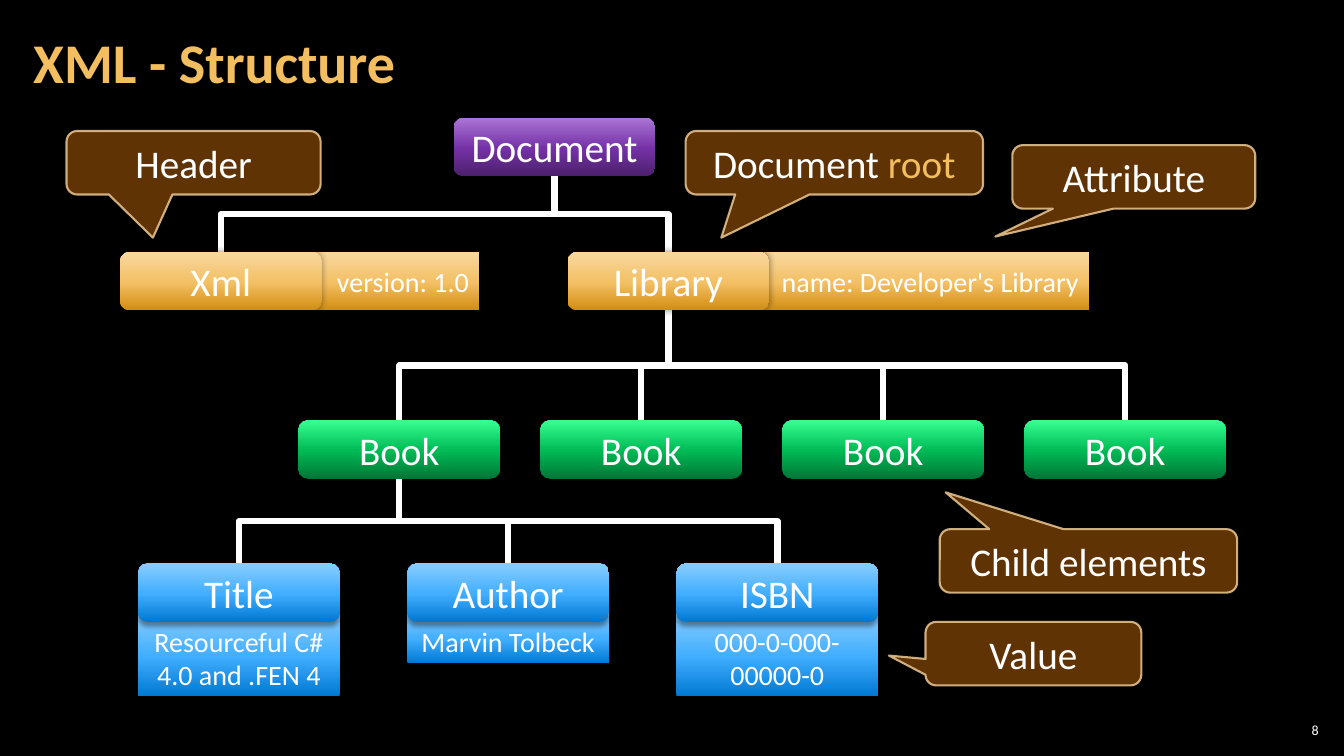
from lxml import etree
from pptx import Presentation
from pptx.dml.color import RGBColor
from pptx.enum.shapes import MSO_CONNECTOR, MSO_SHAPE
from pptx.enum.text import MSO_ANCHOR, PP_ALIGN
from pptx.oxml import parse_xml
from pptx.oxml.ns import qn
from pptx.util import Emu, Pt

RECT = MSO_SHAPE.RECTANGLE
ROUND = MSO_SHAPE.ROUNDED_RECTANGLE
CALL = MSO_SHAPE.ROUNDED_RECTANGULAR_CALLOUT
ELBOW = MSO_CONNECTOR.ELBOW
LEFT, MID, RIGHT = PP_ALIGN.LEFT, PP_ALIGN.CENTER, PP_ALIGN.RIGHT
MIDDLE, BOTTOM = MSO_ANCHOR.MIDDLE, MSO_ANCHOR.BOTTOM

NS = "http://schemas.openxmlformats.org/drawingml/2006/main"
SCALE = 9144
WIDE, HIGH = 200, 58
WHITE, SAND = "FFFFFF", "F3BE60"
PURPLE = ("4B206B", "7532A7", "AB74D5")
GOLD = ("D38D10", "F3C065", "F8D8A0")
GREEN = ("007636", "00BA55", "37FF92")
BLUE = ("0078D2", "41AEFF", "89CDFF")
GLOW = (5, 0, 0)
DROP = (4, 3, 90)


def px(num):
    return Emu(round(num * SCALE))


def tint(code):
    return RGBColor.from_string(code)


def put(item, form):
    for key, val in form.items():
        setattr(item, key, val)


def write(shape, runs, size, align=MID, anchor=MIDDLE, pad=(10, 5), bold=False, gap=None):
    frame = shape.text_frame
    side, top = map(px, pad)
    put(frame, {"word_wrap": True, "vertical_anchor": anchor,
                "margin_left": side, "margin_right": side,
                "margin_top": top, "margin_bottom": top})
    para = frame.paragraphs[0]
    put(para, {"alignment": align, "line_spacing": gap})
    for text, color in runs:
        run = para.add_run()
        run.text = text
        put(run.font, {"name": "Calibri", "size": Pt(size), "bold": bold})
        run.font.color.rgb = tint(color)


def label(slide, box, text, size, color, **form):
    shape = slide.shapes.add_textbox(*map(px, box))
    write(shape, [(text, color)], size, **form)


def fade(shape, tones):
    stops = "".join(
        f'<a:gs pos="{pos}000"><a:srgbClr val="{tone}"/></a:gs>'
        for pos, tone in zip((0, 48, 100), tones))
    grad = parse_xml(f'<a:gradFill xmlns:a="{NS}" rotWithShape="1"><a:gsLst>{stops}</a:gsLst>'
                     '<a:lin ang="16200000" scaled="0"/></a:gradFill>')
    shape._element.spPr.find(qn("a:prstGeom")).addnext(grad)


def shade(shape, blur, dist, angle):
    effect = shape._element.spPr.find(qn("a:effectLst"))
    effect.append(parse_xml(
        f'<a:outerShdw xmlns:a="{NS}" blurRad="{Pt(blur)}" dist="{Pt(dist)}" '
        f'dir="{angle * 60000}" algn="ctr" rotWithShape="0">'
        '<a:srgbClr val="000000"><a:alpha val="40000"/></a:srgbClr></a:outerShdw>'))


def block(slide, kind, box, tones, text, size, shadow=None, **form):
    shape = slide.shapes.add_shape(kind, *map(px, box))
    shape.line.fill.background()
    fade(shape, tones)
    shape.shadow.inherit = False
    if shadow:
        shade(shape, *shadow)
    write(shape, [(text, WHITE)], size, **form)


def node(slide, x, y, tones, text, shadow=None):
    block(slide, ROUND, (x, y, WIDE, HIGH), tones, text, 28, shadow)


def tagged(slide, x, y, name, note, start, width):
    block(slide, RECT, (x + start, y, width, HIGH), GOLD, note, 20, align=RIGHT)
    node(slide, x, y, GOLD, name, GLOW)


def field(slide, x, y, name, value, deep):
    block(slide, RECT, (x, y + 49, WIDE, deep), BLUE, value, 20, anchor=BOTTOM)
    node(slide, x, y, BLUE, name, DROP)


def link(slide, x, y, ends, floor):
    for end in ends:
        midx, midy = (x + end) / 2, (y + floor) / 2
        half, rise = (floor - y) / 2, abs(end - x) / 2
        right = end > x
        if right:
            half = -half
        line = slide.shapes.add_connector(
            ELBOW, px(midx - half), px(midy - rise), px(midx + half), px(midy + rise))
        line.line.width = Pt(4.5)
        line.line.color.rgb = tint(WHITE)
        part = line._element.spPr
        part.find(qn("a:xfrm")).set("rot", "16200000" if right else "5400000")
        etree.SubElement(part, qn("a:effectLst"))


def bubble(slide, box, runs, tip):
    shape = slide.shapes.add_shape(CALL, *map(px, box))
    for num, val in enumerate(tip):
        shape.adjustments[num] = val
    shape.shadow.inherit = False
    shape.fill.solid()
    shape.fill.fore_color.rgb = tint("663606")
    shape.line.width = Pt(1.5)
    shape.line.color.rgb = tint("F8D49E")
    for tone, alpha in zip(shape._element.spPr.iter(qn("a:srgbClr")), (95, 80)):
        etree.SubElement(tone, qn("a:alpha")).set("val", f"{alpha}000")
    write(shape, runs, 28)


def tree(slide, x, y):
    half = WIDE / 2
    tops = [y + 133, y + 300, y + 442]
    xml, root = x - 331, x + 113
    books = [x - 154 + 240 * num for num in range(4)]
    parts = [x - 313 + 267 * num for num in range(3)]
    link(slide, x + half, y + HIGH, [xml + half, root + half], tops[0])
    link(slide, root + half, tops[0] + HIGH, [book + half for book in books], tops[1])
    link(slide, books[0] + half, tops[1] + HIGH, [part + half for part in parts], tops[2])
    node(slide, x, y, PURPLE, "Document")
    tagged(slide, xml, tops[0], "Xml", "version: 1.0", 191, 165)
    tagged(slide, root, tops[0], "Library", "name: Developer's Library", 188, 329)
    for book in books:
        node(slide, book, tops[1], GREEN, "Book")
    values = [("Title", "Resourceful C# 4.0 and .FEN 4", 83),
              ("Author", "Marvin Tolbeck", 50),
              ("ISBN", "000-0-000-00000-0", 83)]
    for part, value in zip(parts, values):
        field(slide, part, tops[2], *value)


def notes(slide, x, y):
    items = [
        (0, 0, 252, [("Header", WHITE)], (-0.16, 1.18)),
        (614, 0, 295, [("Document ", WHITE), ("root", SAND)], (-0.38, 1.18)),
        (938, 14, 241, [("Attribute", WHITE)], (-0.57, 0.94)),
        (866, 395, 295, [("Child elements", WHITE)], (-0.48, -1.08)),
        (852, 487, 214, [("Value", WHITE)], (-0.67, 0.03)),
    ]
    for left, top, width, runs, tip in items:
        bubble(slide, (x + left, y + top, width, 63), runs, tip)


def main():
    deck = Presentation()
    put(deck, {"slide_width": px(1333), "slide_height": px(750)})
    slide = deck.slides.add_slide(deck.slide_layouts[6])
    back = slide.background.fill
    back.solid()
    back.fore_color.rgb = tint("000000")
    label(slide, (21, 4, 1047, 121), "XML - Structure", 40, SAND,
          align=LEFT, pad=(12, 4), bold=True, gap=0.9)
    tree(slide, 450, 117)
    notes(slide, 66, 130)
    label(slide, (1265, 714, 47, 21), "8", 10, WHITE, align=RIGHT, pad=(4, 4))
    deck.save("out.pptx")


if __name__ == "__main__":
    main()
